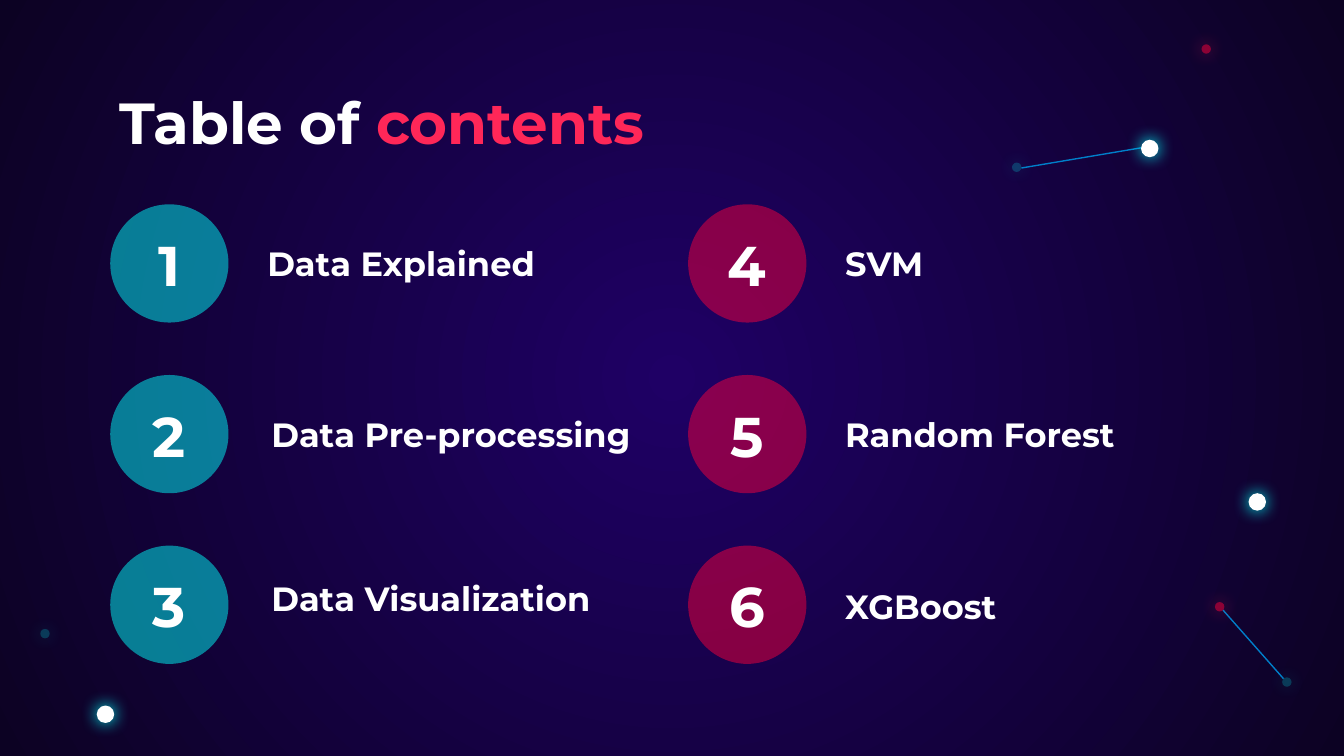
from lxml import etree
from pptx import Presentation
from pptx.dml.color import RGBColor
from pptx.enum.shapes import MSO_CONNECTOR, MSO_SHAPE
from pptx.enum.text import MSO_ANCHOR, PP_ALIGN
from pptx.oxml.ns import qn
from pptx.util import Inches, Pt

OVAL = MSO_SHAPE.OVAL
LINE = MSO_CONNECTOR.STRAIGHT
MIDDLE = MSO_ANCHOR.MIDDLE
LEFT, CENTER = PP_ALIGN.LEFT, PP_ALIGN.CENTER

FONT = "Montserrat"
COLORS = {
    "core": "1F0065", "edge": "0C0223", "white": "FFFFFF", "cyan": "00FFFD",
    "red": "FF003A", "pink": "FF2758", "blue": "007FCA",
}
STARS = {
    "bright": (0.13, "white", 100, "cyan"),
    "cyan": (0.07, "cyan", 20, "cyan"),
    "red": (0.07, "red", 48, "pink"),
}
SKY = [
    ("bright", 0.72, 5.25), ("cyan", 0.3, 4.68), ("bright", 9.29, 3.67),
    ("red", 9.04, 4.48), ("cyan", 9.54, 5.04), ("red", 8.94, 0.33),
    ("bright", 8.49, 1.04), ("cyan", 7.53, 1.21),
]
LINKS = [(9.55, 5.05, 9.1, 4.54), (8.49, 1.1, 7.6, 1.25)]
TOPICS = [
    ("Data Explained", 1.07, 0.09),
    ("Data Pre-processing", 1.1, 0.09),
    ("Data Visualization", 1.1, 0.04),
    ("SVM", 1.07, 0.09),
    ("Random Forest", 1.07, 0.09),
    ("XGBoost", 1.07, 0.1),
]
ROWS = 3


def color(name):
    return RGBColor.from_string(COLORS[name])


def inches(*box):
    return [Inches(n) for n in box]


def paint_back(slide):
    fill = slide.background.fill
    fill.gradient()
    for stop, name, place in zip(fill.gradient_stops, ("core", "edge"), (0, 1)):
        stop.color.rgb = color(name)
        stop.position = place
    grad = slide.element.find(".//" + qn("a:gradFill"))
    ray = etree.Element(qn("a:path"), path="circle")
    half = dict.fromkeys("ltrb", "50000")
    etree.SubElement(ray, qn("a:fillToRect"), half)
    grad.replace(grad.find(qn("a:lin")), ray)


def add_disc(slide, left, top, size, tint, alpha):
    disc = slide.shapes.add_shape(OVAL, *inches(left, top, size, size))
    disc.shadow.inherit = False
    disc.line.fill.background()
    disc.fill.solid()
    disc.fill.fore_color.rgb = color(tint)
    if alpha < 100:
        node = disc.element.spPr.find(".//" + qn("a:srgbClr"))
        etree.SubElement(node, qn("a:alpha"), val=str(alpha * 1000))
    return disc


def add_star(slide, kind, left, top):
    size, tint, alpha, glow = STARS[kind]
    star = add_disc(slide, left, top, size, tint, alpha)
    effect = star.element.spPr.find(qn("a:effectLst"))
    shade = etree.SubElement(
        effect, qn("a:outerShdw"), blurRad=str(Pt(9)), dist="0", dir="0",
        algn="ctr", rotWithShape="0")
    etree.SubElement(shade, qn("a:srgbClr"), val=COLORS[glow])


def add_link(slide, ends):
    link = slide.shapes.add_connector(LINE, *inches(*ends))
    link.line.color.rgb = color("blue")
    link.line.width = Pt(0.75)
    etree.SubElement(link.element.spPr, qn("a:effectLst"))


def style_text(shape, size, align):
    frame = shape.text_frame
    frame.word_wrap = True
    frame.vertical_anchor = MIDDLE
    frame.margin_left = frame.margin_right = Inches(0.1)
    frame.margin_top = frame.margin_bottom = Inches(0.1)
    para = frame.paragraphs[0]
    para.alignment = align
    for run in para.runs:
        run.font.name = FONT
        run.font.size = Pt(size)
        run.font.bold = True
        run.font.color.rgb = color("white")
    return para


def add_label(slide, box, text, size, align=LEFT):
    label = slide.shapes.add_textbox(*inches(*box))
    label.text_frame.text = text
    style_text(label, size, align)


def set_title(slide, box):
    title = slide.shapes.title
    title.left, title.top, title.width, title.height = inches(*box)
    title.text_frame.text = "Table of "
    title.text_frame.paragraphs[0].add_run().text = "contents"
    para = style_text(title, 31, LEFT)
    para.runs[1].font.color.rgb = color("pink")


def add_topic(slide, left, top, number, topic, tint, alpha):
    text, shift, drop = topic
    add_disc(slide, left, top, 0.88, tint, alpha)
    add_label(slide, (left + 0.16, top + 0.12, 0.56, 0.65), str(number), 30, CENTER)
    add_label(slide, (left + shift, top + drop, 2.99, 0.7), text, 18)


def add_grid(slide, left, top):
    tints = [("cyan", 49), ("red", 48)]
    for i, topic in enumerate(TOPICS):
        col, row = divmod(i, ROWS)
        add_topic(slide, left + 4.3 * col, top + 1.27 * row, i + 1, topic, *tints[col])


def add_sky(slide):
    for ends in LINKS:
        add_link(slide, ends)
    for star in SKY:
        add_star(slide, *star)


def main():
    deck = Presentation()
    deck.slide_width = Inches(10)
    deck.slide_height = deck.slide_width * 9 // 16
    slide = deck.slides.add_slide(deck.slide_layouts[5])
    paint_back(slide)
    add_sky(slide)
    set_title(slide, (0.79, 0.59, 8.43, 0.62))
    add_grid(slide, 0.82, 1.52)
    deck.save("out.pptx")


if __name__ == "__main__":
    main()
